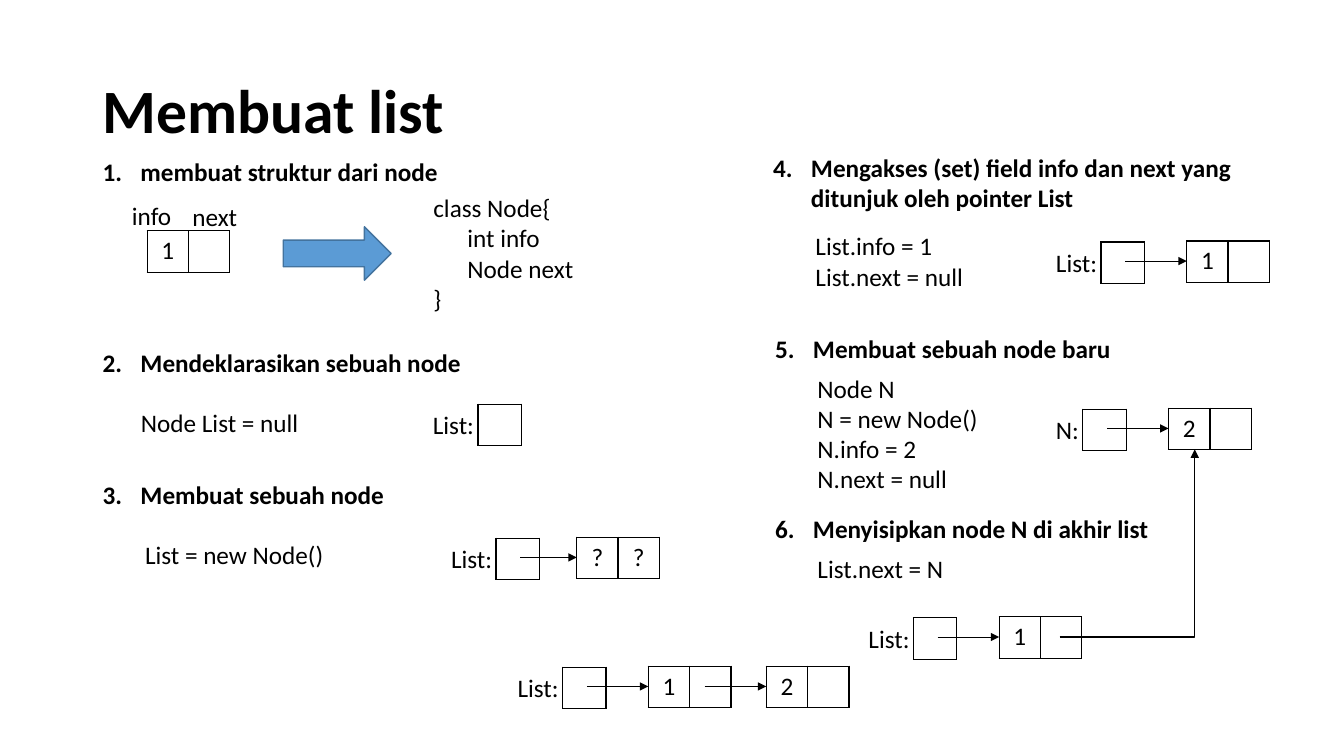
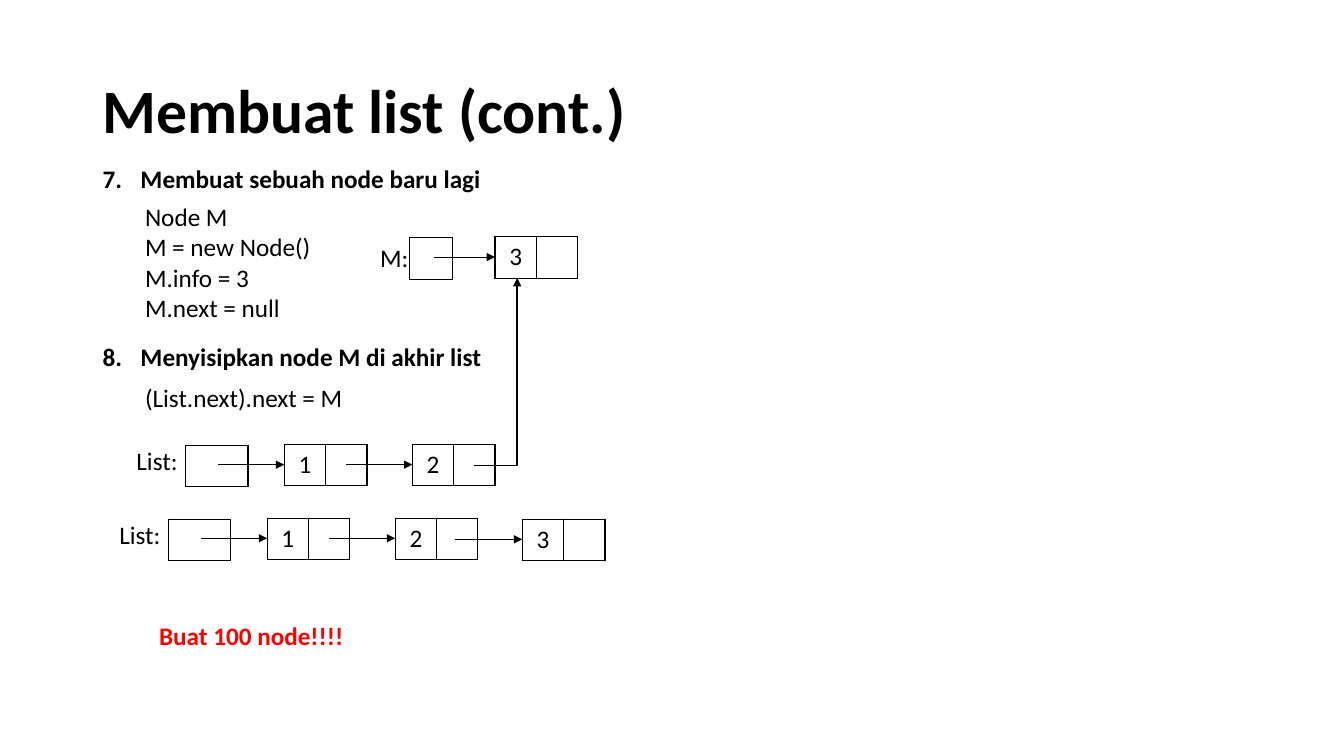
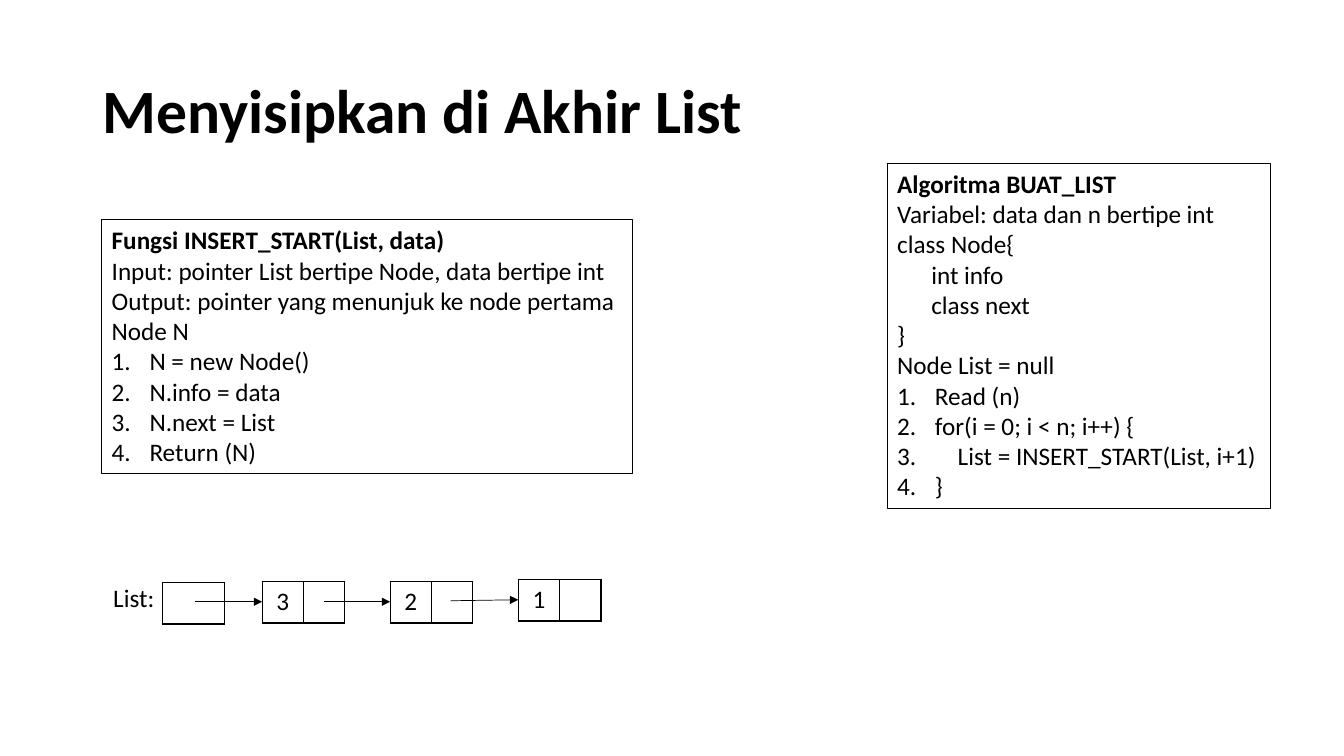
"""Draw three slides on building a linked list."""
from dataclasses import dataclass, replace

from lxml.etree import SubElement as sub
from pptx import Presentation
from pptx.dml.color import RGBColor as RGB
from pptx.enum.shapes import MSO_CONNECTOR as Conn, MSO_SHAPE as Shape
from pptx.enum.text import MSO_ANCHOR as Anchor, PP_ALIGN as Align
from pptx.oxml.ns import qn
from pptx.util import Pt

PX = 9144


@dataclass(frozen=True)
class Theme:
    """Colours, font and type sizes."""
    ink: RGB = RGB(0, 0, 0)
    red: RGB = RGB(255, 0, 0)
    blue: RGB = RGB(0x5B, 0x9B, 0xD5)
    navy: RGB = RGB(0x43, 0x73, 0x9E)
    face: str = "Calibri"
    head: int = 44
    body: int = 18
    thin: float = 0.5
    edge: float = 0.75
    rule: float = 1


@dataclass(frozen=True)
class Gap:
    """Distances inside a chain of nodes."""
    box: int
    tail: int
    node: int
    step: int
    hop: int
    pad: int
    lift: int


NEAR = Gap(box=43, tail=24, node=85, step=117, hop=56, pad=6, lift=0)
WIDE = Gap(box=62, tail=32, node=98, step=127, hop=61, pad=2, lift=5)


class Deck:
    """Holds the style and the slide being drawn."""

    def __init__(self, look):
        self.look = look
        self.file = Presentation()
        self.file.slide_width = 1333 * PX
        self.file.slide_height = 750 * PX
        self.art = None

    def page(self, title):
        """Start a slide with its title."""
        self.art = self.file.slides.add_slide(self.file.slide_layouts[6]).shapes
        frame = self.text(92, 40, 1150, 145, [title], size=self.look.head, bold=True)
        frame.vertical_anchor = Anchor.MIDDLE
        frame.paragraphs[0].line_spacing = 0.9

    def para(self, par, words, num=None, align=Align.LEFT, color=None, size=None, bold=False):
        """Fill one paragraph, numbered when num is given."""
        par.alignment = align
        if num:
            prop = par._p.get_or_add_pPr()
            prop.set("marL", "342900")
            prop.set("indent", "-342900")
            sub(prop, qn("a:buFont"), typeface="+mj-lt")
            sub(prop, qn("a:buAutoNum"), type="arabicPeriod", startAt=str(num))
        run = par.add_run()
        run.text = words
        style = {"name": self.look.face, "size": Pt(size or self.look.body), "bold": bold}
        for key, value in style.items():
            setattr(run.font, key, value)
        run.font.color.rgb = color or self.look.ink

    def lines(self, frame, rows, **style):
        """Write rows of text, one paragraph each."""
        for row in rows:
            first = frame.paragraphs[0]
            self.para(frame.add_paragraph() if first.runs else first, row, **style)

    def text(self, x, y, w, h, rows, **style):
        """Add a text box."""
        frame = self.art.add_textbox(x * PX, y * PX, w * PX, h * PX).text_frame
        frame.word_wrap = True
        self.lines(frame, rows, **style)
        return frame

    def step(self, x, y, num, words, w=530):
        """Add a bold numbered heading."""
        self.text(x, y, w, 40, [words], num=num, bold=True)

    def code(self, x, y, *rows, w=236):
        """Add lines of code."""
        self.text(x, y, w, 10 + 30 * len(rows), rows)

    def shape(self, kind, x, y, w, h, line, width, fill=None):
        """Add a preset shape."""
        form = self.art.add_shape(kind, x * PX, y * PX, w * PX, h * PX)
        form.shadow.inherit = False
        if fill:
            form.fill.solid()
            form.fill.fore_color.rgb = fill
        else:
            form.fill.background()
        form.line.color.rgb = line
        form.line.width = Pt(width)
        return form

    def panel(self, x, y, w, h, head, rows, steps):
        """Add a framed algorithm."""
        form = self.shape(Shape.RECTANGLE, x, y, w, h, self.look.ink, self.look.edge)
        frame = form.text_frame
        frame.word_wrap = True
        frame.vertical_anchor = Anchor.TOP
        self.lines(frame, [head], bold=True)
        self.lines(frame, rows)
        self.lines(frame, steps, num=1)

    def cells(self, x, y, w, words):
        """Add a one-row table of square-edged cells."""
        size = (len(words) * w * PX, 41 * PX)
        table = self.art.add_table(1, len(words), x * PX, y * PX, *size).table
        for key in ("first_row", "horz_banding"):
            setattr(table, key, False)
        for cell, word in zip(table.rows[0].cells, words):
            if word:
                self.para(cell.text_frame.paragraphs[0], word, align=Align.CENTER)
            prop = cell._tc.get_or_add_tcPr()
            for side in ("lnL", "lnR", "lnT", "lnB"):
                edge = sub(prop, qn("a:" + side), w=str(Pt(self.look.rule)))
                sub(sub(edge, qn("a:solidFill")), qn("a:srgbClr"), val=str(self.look.ink))
            cell.fill.background()

    def node(self, x, y, info, link=""):
        """Add a node of two fields."""
        self.cells(x, y, 41, [info, link])

    def wire(self, kind, x, y, to_x, to_y, width):
        """Add a connector with an arrowhead."""
        wire = self.art.add_connector(kind, *(int(n * PX) for n in (x, y, to_x, to_y)))
        wire.line.color.rgb = self.look.ink
        wire.line.width = Pt(width)
        sub(wire.line._get_or_add_ln(), qn("a:tailEnd"), type="triangle")
        sub(wire._element.spPr, qn("a:effectLst"))
        return wire

    def arrow(self, x, y, to_x, to_y):
        """Add a thin straight arrow."""
        self.wire(Conn.STRAIGHT, x, y, to_x, to_y, self.look.thin)

    def bend(self, x, y, to_x, to_y):
        """Add an arrow that runs right, then up."""
        mid_x, mid_y = (x + to_x) / 2, (y + to_y) / 2
        w, h = (y - to_y) / 2, (to_x - x) / 2
        ends = (mid_x + w, mid_y + h, mid_x - w, mid_y - h)
        prop = self.wire(Conn.ELBOW, *ends, self.look.rule)._element.spPr
        prop.find(qn("a:xfrm")).set("rot", "5400000")
        guide = prop.find(qn("a:prstGeom")).find(qn("a:avLst"))
        sub(guide, qn("a:gd"), name="adj1", fmla="val 0")

    def chain(self, x, y, name, infos=(), gap=NEAR, link=""):
        """Add a named pointer and the nodes it leads to."""
        self.text(x + gap.pad - 80, y - gap.lift, 80, 40, [name], align=Align.RIGHT)
        self.cells(x, y, gap.box, [""])
        tail = x + gap.tail
        for col, info in enumerate(infos):
            left = x + gap.node + col * gap.step
            self.arrow(tail, y + 19, left, y + 19)
            self.node(left, y - 1, info, link)
            tail = left + gap.hop


def build(deck):
    """Draw every slide."""
    look = deck.look
    deck.page("Membuat list")
    deck.step(92, 150, 1, "membuat struktur dari node", w=884)
    deck.text(121, 194, 72, 40, ["info"])
    deck.text(181, 195, 72, 40, ["next"])
    deck.node(146, 229, "1")
    deck.shape(Shape.RIGHT_ARROW, 281, 225, 107, 53, look.navy, look.rule, look.blue)
    deck.code(420, 186, "class Node{", "      int info", "      Node next", "}")
    deck.step(92, 340, 2, "Mendeklarasikan sebuah node")
    deck.code(130, 399, "Node List = null")
    deck.chain(474, 401, "List:")
    deck.step(92, 471, 3, "Membuat sebuah node")
    deck.code(134, 530, "List = new Node()")
    deck.chain(492, 534, "List:", ["?"], replace(NEAR, node=80), link="?")
    deck.step(757, 146, 4, "Mengakses (set) field info dan next yang ditunjuk oleh pointer List")
    deck.code(799, 224, "List.info = 1", "List.next = null")
    deck.chain(1092, 240, "List:", ["1"])
    deck.step(759, 326, 5, "Membuat sebuah node baru")
    deck.code(801, 365, "Node N", "N = new Node()", "N.info = 2", "N.next = null")
    deck.chain(1074, 406, "N:", ["2"])
    deck.step(759, 504, 6, "Menyisipkan node N di akhir list")
    deck.code(801, 544, "List.next = N")
    deck.chain(906, 613, "List:", ["1"])
    deck.bend(1051, 632, 1185, 446)
    deck.chain(558, 662, "List:", ["1", "2"])

    deck.page("Membuat list (cont.)")
    deck.step(92, 157, 7, "Membuat sebuah node baru lagi")
    deck.code(134, 195, "Node M", "M = new Node()", "M.info = 3", "M.next = null")
    deck.chain(406, 236, "M:", ["3"], replace(NEAR, pad=9))
    deck.step(92, 334, 8, "Menyisipkan node M di akhir list")
    deck.code(134, 374, "(List.next).next = M", w=314)
    deck.chain(184, 442, "List:", ["1", "2"], WIDE)
    deck.bend(470, 462, 513, 276)
    deck.chain(167, 515, "List:", ["1", "2"], WIDE)
    deck.arrow(451, 535, 518, 535)
    deck.node(518, 515, "3")
    deck.text(148, 611, 240, 40, ["Buat 100 node!!!!"], bold=True, color=look.red)

    deck.page("Menyisipkan di Akhir List")
    deck.panel(
        101, 218, 526, 252, "Fungsi INSERT_START(List, data)",
        ["Input: pointer List bertipe Node, data bertipe int",
         "Output: pointer yang menunjuk ke node pertama", "Node N"],
        ["N = new Node()", "N.info = data", "N.next = List", "Return (N)"])
    deck.chain(161, 578, "List:", ["3", "2"], replace(WIDE, node=99))
    deck.arrow(447, 596, 514, 595)
    deck.node(514, 575, "1")
    deck.panel(
        880, 162, 380, 343, "Algoritma BUAT_LIST",
        ["Variabel: data dan n bertipe int", "class Node{", "      int info",
         "      class next", "}", "Node List = null"],
        ["Read (n)", "for(i = 0; i < n; i++) {", "    List = INSERT_START(List, i+1)", "}"])


def main():
    """Build the deck and save it."""
    deck = Deck(Theme())
    build(deck)
    deck.file.save("out.pptx")


if __name__ == "__main__":
    main()
